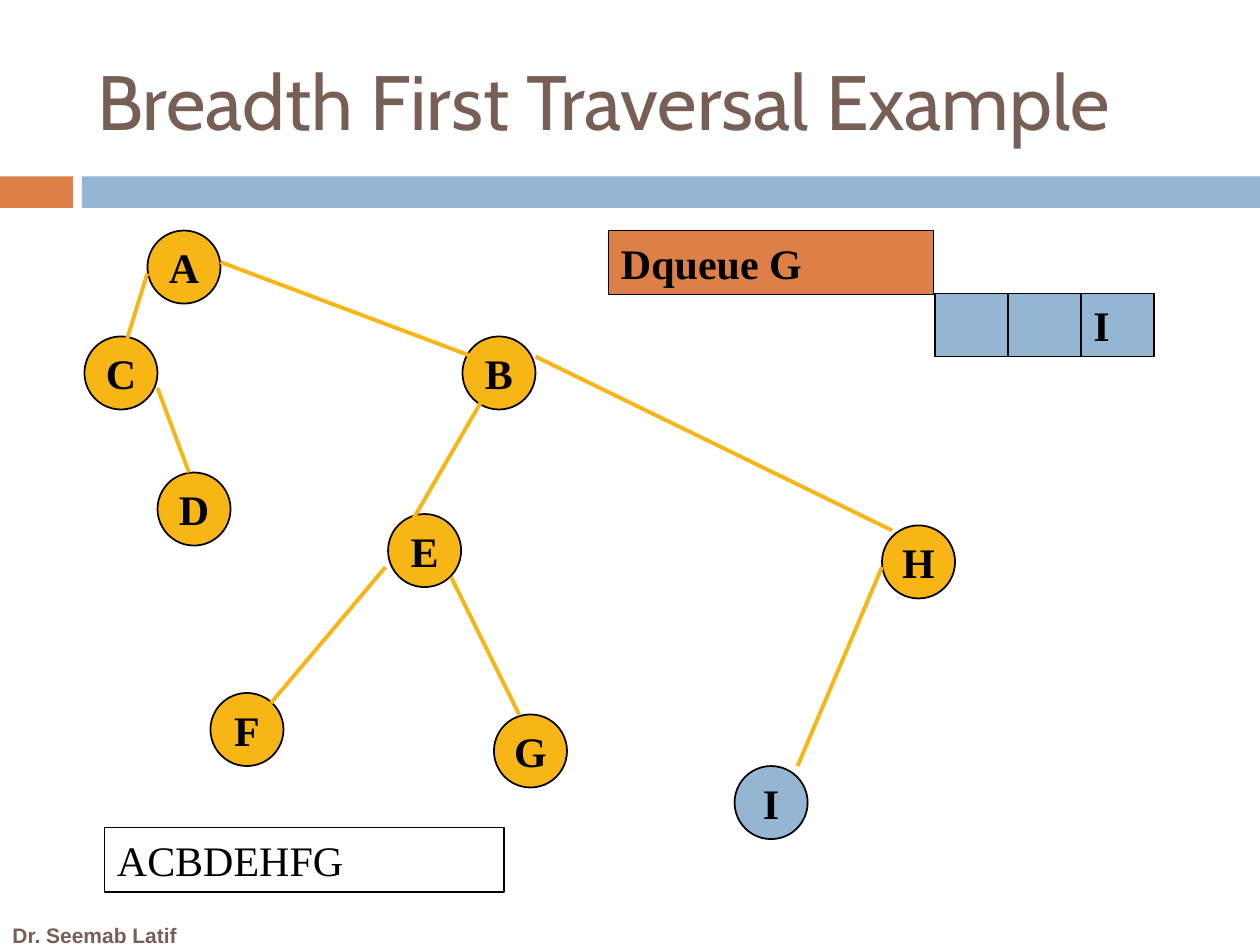
from lxml.etree import SubElement
from pptx import Presentation
from pptx.dml.color import RGBColor
from pptx.enum.shapes import MSO_CONNECTOR as CONN, MSO_SHAPE as SHAPE
from pptx.enum.text import MSO_ANCHOR as ANCHOR, PP_ALIGN as ALIGN
from pptx.oxml.ns import qn
from pptx.util import Inches, Pt

ORANGE, BLUE, YELLOW = "DD8047", "94B6D2", "F7B615"
BROWN, BLACK = "775F55", "000000"
SIZE = 0.58
NODES = {
    "H": (7, 4.17), "A": (1.17, 1.83), "C": (0.67, 2.67),
    "D": (1.25, 3.75), "B": (3.67, 2.67), "E": (3.08, 4.08),
    "F": (1.67, 5.5), "G": (3.92, 5.67), "I": (5.83, 6.08),
}
EDGES = [
    (1.17, 2.17, 0.99, 2.75), (1.25, 3.08, 1.5, 3.75),
    (1.75, 2.08, 3.75, 2.83), (3.83, 3.17, 3.25, 4.17),
    (3.06, 4.5, 2.15, 5.58), (3.58, 4.58, 4.12, 5.67),
    (4.25, 2.83, 7.08, 4.21), (6.33, 6.08, 7, 4.5),
]


def color(value):
    """Return the colour for a hex string."""
    return RGBColor.from_string(value)


def write(s, text, size=24, font="Times New Roman", fill=BLACK, bold=True,
          align=ALIGN.LEFT, anchor=ANCHOR.MIDDLE, wrap=True):
    """Write one formatted line of text into a shape."""
    tf = s.text_frame
    tf.word_wrap = wrap
    tf.vertical_anchor = anchor
    p = tf.paragraphs[0]
    p.alignment = align
    r = p.add_run()
    r.text = text
    r.font.size = Pt(size)
    r.font.name = font
    r.font.bold = bold
    r.font.color.rgb = color(fill)


def add_box(slide, x, y, w, h, fill=None, line=None, kind=SHAPE.RECTANGLE):
    """Add a preset shape with an optional fill and outline width."""
    s = slide.shapes.add_shape(kind, Inches(x), Inches(y), Inches(w), Inches(h))
    s.shadow.inherit = False
    if fill:
        s.fill.solid()
        s.fill.fore_color.rgb = color(fill)
    else:
        s.fill.background()
    if line:
        s.line.color.rgb = color(BLACK)
        s.line.width = Pt(line)
    else:
        s.line.fill.background()
    return s


def add_node(slide, name, x, y, fill):
    """Add a round tree node with its letter."""
    s = add_box(slide, x, y, SIZE, SIZE, fill, 1, SHAPE.OVAL)
    write(s, name, align=ALIGN.CENTER, wrap=False)


def add_edge(slide, x1, y1, x2, y2):
    """Add a tree edge between two points."""
    s = slide.shapes.add_connector(
        CONN.STRAIGHT, Inches(x1), Inches(y1), Inches(x2), Inches(y2))
    s.line.color.rgb = color(YELLOW)
    s.line.width = Pt(2.25)
    SubElement(s._element.spPr, qn("a:effectLst"))


def add_frame(slide):
    """Add the title, the two bars and the author line."""
    add_box(slide, 0, 1.4, SIZE, 0.25, ORANGE)
    add_box(slide, 0.65, 1.4, 9.35, 0.25, BLUE)
    s = slide.shapes.add_textbox(Inches(0), Inches(7.27), Inches(1.58), Inches(0.23))
    write(s, "Dr. Seemab Latif", size=12, font="Arial", fill=BROWN,
          anchor=ANCHOR.TOP, wrap=False)
    title = slide.shapes.title
    title.left, title.top = Inches(0.67), Inches(0.25)
    title.width, title.height = Inches(8.92), Inches(1.08)
    write(title, "Breadth First Traversal Example", size=44, font="Cabin",
          fill=BROWN, bold=False)


def add_tree(slide):
    """Add the nodes and edges, with the queued node in blue."""
    for name, (x, y) in NODES.items():
        add_node(slide, name, x, y, BLUE if name == "I" else YELLOW)
    for edge in EDGES:
        add_edge(slide, *edge)


def add_queue(slide):
    """Add the queue cells below the current operation."""
    write(add_box(slide, 4.83, 1.83, 2.58, 0.51, ORANGE, 0.75), "Dqueue G")
    for i, text in enumerate(["", "", "I"]):
        s = add_box(slide, 7.42 + i * SIZE, 2.33, SIZE, 0.5, BLUE, 0.75)
        if text:
            write(s, text, wrap=False)


def main():
    """Build the slide and save it."""
    prs = Presentation()
    prs.slide_width, prs.slide_height = Inches(10), Inches(7.5)
    slide = prs.slides.add_slide(prs.slide_layouts[5])
    add_frame(slide)
    add_tree(slide)
    add_queue(slide)
    write(add_box(slide, 0.83, 6.57, 3.17, 0.51, line=0.75), "ACBDEHFG", bold=False)
    prs.save("out.pptx")


if __name__ == "__main__":
    main()
